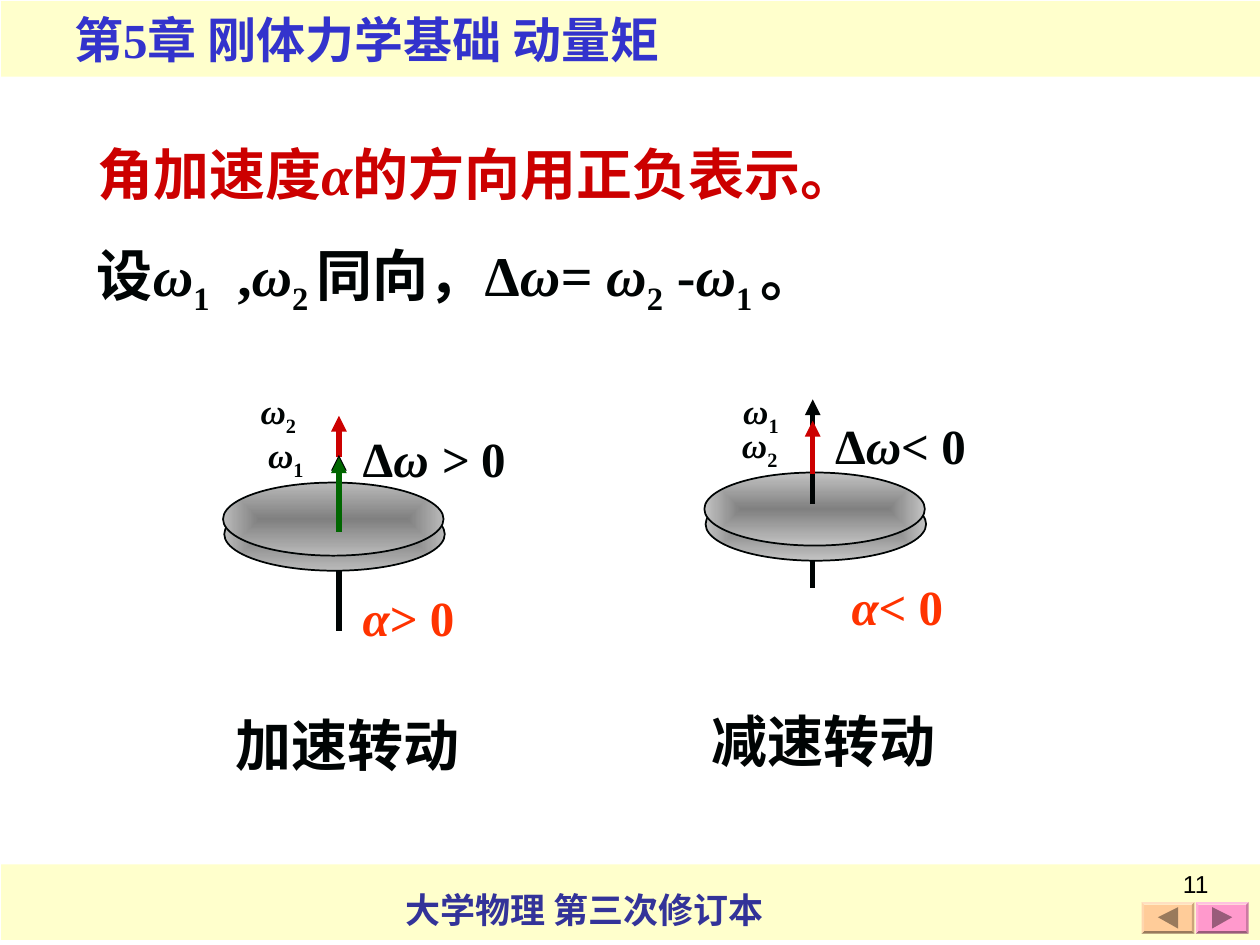
"""Build the slide on the sign of angular acceleration."""
from dataclasses import dataclass

from lxml import etree
from pptx import Presentation
from pptx.dml.color import RGBColor
from pptx.enum.shapes import MSO_CONNECTOR, MSO_SHAPE
from pptx.enum.text import MSO_ANCHOR, MSO_AUTO_SIZE, PP_ALIGN
from pptx.oxml.ns import qn
from pptx.util import Inches, Pt

RECT, OVAL = MSO_SHAPE.RECTANGLE, MSO_SHAPE.OVAL
STRAIGHT = MSO_CONNECTOR.STRAIGHT
LEFT, RIGHT = PP_ALIGN.LEFT, PP_ALIGN.RIGHT
TOP = MSO_ANCHOR.TOP
FIT, FIXED = MSO_AUTO_SIZE.SHAPE_TO_FIT_TEXT, MSO_AUTO_SIZE.NONE
WIDTH, HEIGHT = Inches(10), Inches(7.5)
COLS, ROWS = 1000, 750


@dataclass(frozen=True)
class Theme:
    latin: str = "Times New Roman"
    east: str = "Noto Sans CJK SC"
    number: str = "Arial"
    ink: str = "000404"
    black: str = "000000"
    red: str = "CC0000"
    green: str = "006600"
    orange: str = "FF3300"
    chapter: str = "3333CC"
    footer: str = "333399"
    band: str = "FFFFCC"
    back: str = "FFCC99"
    forward: str = "FF99CC"
    core: str = "808080"
    body: int = 32
    formula: int = 28
    label: int = 20
    page: int = 14


T = Theme()


@dataclass(frozen=True)
class Run:
    text: str
    italic: bool = False
    sub: bool = False


@dataclass(frozen=True)
class Text:
    box: tuple[int, int, int, int]
    runs: tuple[Run, ...]
    size: int = T.body
    color: str = T.ink
    bold: bool = True
    font: str = T.latin
    align: PP_ALIGN = LEFT
    wrap: bool = True
    fit: MSO_AUTO_SIZE = FIT


@dataclass(frozen=True)
class Arrow:
    start: int
    end: int
    color: str = T.ink
    head: bool = True


@dataclass(frozen=True)
class Rotor:
    axis: int
    disc: tuple[int, int]
    rim: str
    stub: Arrow
    arrows: tuple[Arrow, ...]
    texts: tuple[Text, ...]


def grid(*cells: int) -> list[int]:
    """Turn alternating columns and rows into lengths."""
    return [int(c * (HEIGHT / ROWS if i % 2 else WIDTH / COLS)) for i, c in enumerate(cells)]


def rgb(color: str) -> RGBColor:
    """Read a hex colour."""
    return RGBColor.from_string(color)


def shade(color: str, share: float) -> str:
    """Mix a colour with white (positive share) or black (negative share)."""
    goal = 255 if share > 0 else 0
    parts = [int(color[i:i + 2], 16) for i in (0, 2, 4)]
    return "".join(f"{round(v + (goal - v) * abs(share)):02X}" for v in parts)


def write(sp, t: Text) -> None:
    """Fill a text shape run by run."""
    tf = sp.text_frame
    tf.word_wrap, tf.auto_size, tf.vertical_anchor = t.wrap, t.fit, TOP
    p = tf.paragraphs[0]
    p.alignment = t.align
    for run in t.runs:
        r = p.add_run()
        r.text = run.text
        f = r.font
        f.name, f.size, f.bold, f.italic = t.font, Pt(t.size), t.bold, run.italic
        f.color.rgb = rgb(t.color)
        props = r._r.get_or_add_rPr()
        etree.SubElement(props, qn("a:ea"), typeface=T.east)
        if run.sub:
            props.set("baseline", "-25000")


def add_text(s, t: Text) -> None:
    """Add a text box."""
    write(s.shapes.add_textbox(*grid(*t.box)), t)


def add_band(s, top: int) -> None:
    """Add a full-width band."""
    sp = s.shapes.add_shape(RECT, *grid(1, top, 999, 60))
    sp.shadow.inherit = False
    sp.fill.solid()
    sp.fill.fore_color.rgb = rgb(T.band)
    sp.line.fill.background()


def add_polygon(s, points: list[tuple[int, int]], color: str) -> None:
    """Add a filled outline."""
    pts = [tuple(grid(*pt)) for pt in points]
    builder = s.shapes.build_freeform(*pts[0])
    builder.add_line_segments(pts[1:], close=True)
    sp = builder.convert_to_shape()
    sp.shadow.inherit = False
    sp.fill.solid()
    sp.fill.fore_color.rgb = rgb(color)
    sp.line.fill.background()


def add_button(s, left: int, color: str, direction: int) -> None:
    """Add a bevelled button with a triangle pointing left or right."""
    x, y, w, h, d = left, 716, 42, 25, 2
    outer = [(x, y), (x + w, y), (x + w, y + h), (x, y + h)]
    inner = [(x + d, y + d), (x + w - d, y + d), (x + w - d, y + h - d), (x + d, y + h - d)]
    add_polygon(s, inner, color)
    for i, share in enumerate((0.4, -0.2, -0.4, 0.2)):
        j = (i + 1) % 4
        add_polygon(s, [outer[i], outer[j], inner[j], inner[i]], shade(color, share))
    mid, base = x + w // 2, -8 * direction
    add_polygon(s, [(mid + base, 720), (mid - base, 728), (mid + base, 737)], shade(color, -0.4))


def add_arrow(s, axis: int, a: Arrow) -> None:
    """Add a vertical line, with a head if asked."""
    cn = s.shapes.add_connector(STRAIGHT, *grid(axis, a.start, axis, a.end))
    cn.line.color.rgb = rgb(a.color)
    cn.line.width = Pt(3)
    if a.head:
        etree.SubElement(cn.line._get_or_add_ln(), qn("a:tailEnd"), type="triangle")
    etree.SubElement(cn._element.spPr, qn("a:effectLst"))


def add_disc(s, left: int, top: int, rim: str) -> None:
    """Add an ellipse shaded from its centre."""
    sp = s.shapes.add_shape(OVAL, *grid(left, top, 175, 58))
    sp.shadow.inherit = False
    sp.fill.gradient()
    for stop, color in zip(sp.fill.gradient_stops, (T.core, rim)):
        stop.color.rgb = rgb(color)
    grad = sp._element.spPr.find(qn("a:gradFill"))
    grad.remove(grad.find(qn("a:lin")))
    path = etree.SubElement(grad, qn("a:path"), path="rect")
    etree.SubElement(path, qn("a:fillToRect"), dict.fromkeys("ltrb", "50000"))
    sp.line.color.rgb = rgb(T.ink)
    sp.line.width = Pt(1)


def add_rotor(s, rotor: Rotor) -> None:
    """Add a spinning disc with its axis, arrows and labels."""
    add_arrow(s, rotor.axis, rotor.stub)
    left, top = rotor.disc
    add_disc(s, left + 1, top + 12, rotor.rim)
    add_disc(s, left, top, rotor.rim)
    for a in rotor.arrows:
        add_arrow(s, rotor.axis, a)
    for t in rotor.texts:
        add_text(s, t)


def omega(left: int, top: int, index: str) -> Text:
    """Describe an indexed angular velocity label."""
    return Text((left, top, 83, 48), (Run("ω", True), Run(index, sub=True)), T.label)


TITLE = Text((67, 106, 704, 64), (Run("角加速度"), Run("α", True), Run("的方向用正负表示。")), color=T.red)
TEXTS = (
    Text((312, 700, 312, 44), (Run("大学物理 第三次修订本"),), T.label, T.footer, wrap=False),
    Text((49, 3, 624, 57), (Run("第5章 "), Run("刚体力学基础 动量矩")), T.formula, T.chapter),
    Text((736, 685, 233, 52), (Run("11"),), T.page, T.black, False, T.number, RIGHT, fit=FIXED),
    Text((67, 186, 717, 71), (
        Run("设"), Run("ω", True), Run("1", sub=True), Run("  ,"), Run("ω", True),
        Run("2 ", sub=True), Run("同向，Δ"), Run("ω= ω", True), Run("2", sub=True),
        Run(" -"), Run("ω", True), Run("1 ", sub=True), Run("。"))),
)
ROTORS = (
    Rotor(269, (177, 383), "BABABA", Arrow(451, 501, head=False),
          (Arrow(363, 330, T.red), Arrow(420, 361), Arrow(422, 363, T.green)),
          (omega(203, 339, "1"), omega(197, 304, "2"),
           Text((278, 335, 207, 57), (Run("Δ"), Run("ω > ", True), Run("0")), T.formula),
           Text((278, 461, 159, 57), (Run("α", True), Run("> 0")), T.formula, T.orange),
           Text((177, 559, 225, 64), (Run("加速转动"),)))),
    Rotor(645, (559, 375), "C3C3C3", Arrow(433, 467, head=False),
          (Arrow(400, 317), Arrow(376, 334, T.red)),
          (omega(580, 304, "1"), omega(579, 331, "2"),
           Text((653, 325, 177, 57), (Run("Δ"), Run("ω< ", True), Run("0")), T.formula),
           Text((666, 453, 149, 57), (Run("α< ", True), Run("0")), T.formula, T.orange),
           Text((555, 556, 275, 64), (Run("减速转动"),)))),
)


def main() -> None:
    """Build and save the slide."""
    prs = Presentation()
    prs.slide_width, prs.slide_height = WIDTH, HEIGHT
    s = prs.slides.add_slide(prs.slide_layouts[5])
    title = s.shapes.title
    title.left, title.top, title.width, title.height = grid(*TITLE.box)
    write(title, TITLE)
    for top in (686, 1):
        add_band(s, top)
    add_button(s, 949, T.forward, 1)
    add_button(s, 906, T.back, -1)
    for t in TEXTS:
        add_text(s, t)
    for rotor in ROTORS:
        add_rotor(s, rotor)
    prs.save("out.pptx")


if __name__ == "__main__":
    main()
